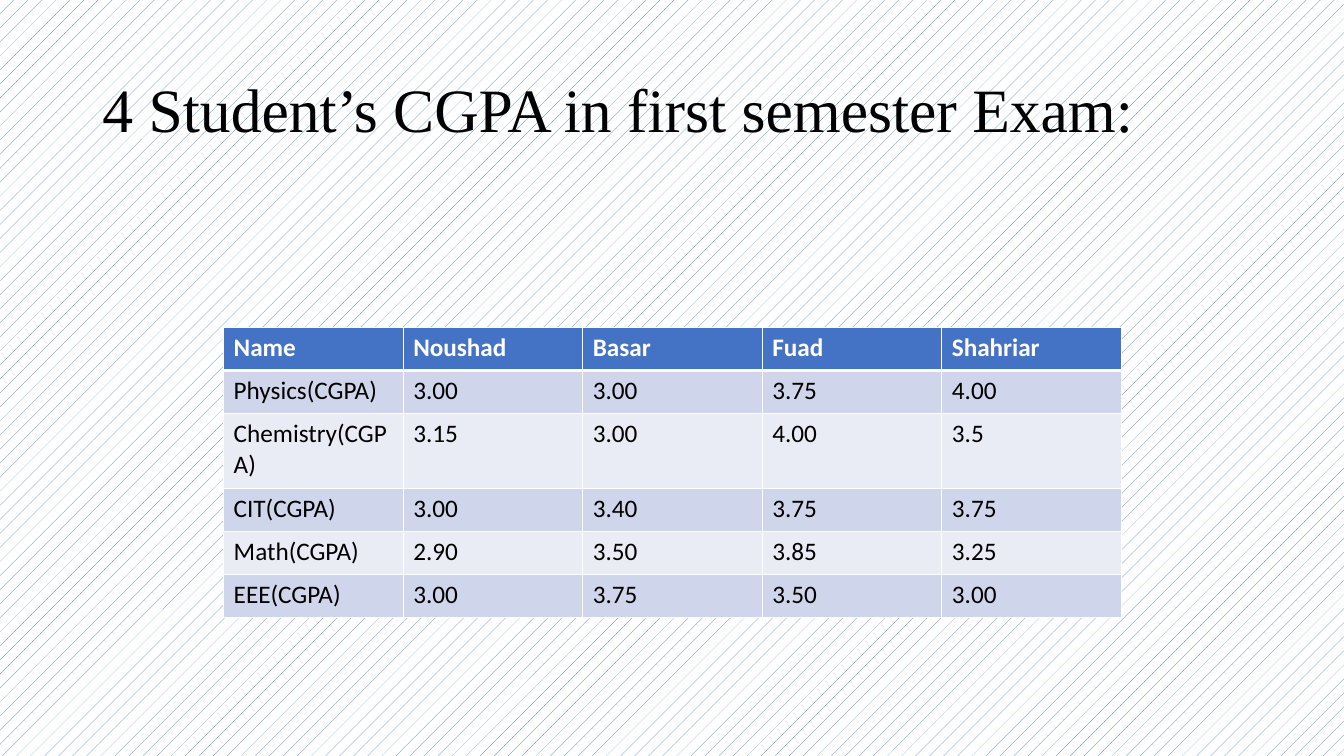
from dataclasses import dataclass

from lxml import etree
from pptx import Presentation
from pptx.dml.color import RGBColor
from pptx.enum.dml import MSO_PATTERN
from pptx.enum.text import MSO_ANCHOR, MSO_AUTO_SIZE, PP_ALIGN
from pptx.oxml.ns import qn
from pptx.util import Pt

DOTS = MSO_PATTERN.PERCENT_5
LEFT = PP_ALIGN.LEFT
TOP, MIDDLE = MSO_ANCHOR.TOP, MSO_ANCHOR.MIDDLE
NO_FIT = MSO_AUTO_SIZE.NONE
PX = 9525
TITLE_ONLY = 5


@dataclass(frozen=True)
class Theme:
    blue: str = "4472C4"
    white: str = "FFFFFF"
    black: str = "000000"
    bands: tuple = ("CFD5EA", "E9EBF5")
    serif: str = "Times New Roman"
    sans: str = "Calibri"
    head: int = 44
    body: int = 18
    thin: int = 1
    thick: int = 3


GRADES = [
    ("Name", "Noushad", "Basar", "Fuad", "Shahriar"),
    ("Physics(CGPA)", "3.00", "3.00", "3.75", "4.00"),
    ("Chemistry(CGPA)", "3.15", "3.00", "4.00", "3.5"),
    ("CIT(CGPA)", "3.00", "3.40", "3.75", "3.75"),
    ("Math(CGPA)", "2.90", "3.50", "3.85", "3.25"),
    ("EEE(CGPA)", "3.00", "3.75", "3.50", "3.00"),
]


def apply(item, values):
    for name, value in values.items():
        setattr(item, name, value)


class Deck:
    def __init__(self, theme, width, height):
        self.theme = theme
        self.show = Presentation()
        apply(self.show, {"slide_width": width * PX, "slide_height": height * PX})
        self.slide = self.show.slides.add_slide(self.show.slide_layouts[TITLE_ONLY])

    def ground(self):
        fill = self.slide.background.fill
        fill.patterned()
        fill.pattern = DOTS
        fill.fore_color.rgb = RGBColor.from_string(self.theme.blue)
        fill.back_color.rgb = RGBColor.from_string(self.theme.white)

    def label(self, frame, text, color, **font):
        """Put one left-aligned line of text in a frame and return its paragraph."""
        para = frame.paragraphs[0]
        para.alignment = LEFT
        run = para.add_run()
        run.text = text
        apply(run.font, font)
        run.font.color.rgb = RGBColor.from_string(color)
        return para

    def title(self, text, left, top, width, height):
        look, shape = self.theme, self.slide.shapes.title
        apply(shape, {"left": left * PX, "top": top * PX,
                      "width": width * PX, "height": height * PX})
        frame = shape.text_frame
        apply(frame, {"word_wrap": True, "auto_size": NO_FIT,
                      "vertical_anchor": MIDDLE})
        para = self.label(frame, text, look.black, name=look.serif,
                          size=Pt(look.head), bold=False)
        para.line_spacing = 0.9

    def border(self, cell, widths):
        """Draw the cell's edges; widths maps L, R, T, B to points, in that order."""
        props = cell._tc.get_or_add_tcPr()
        for side, width in widths.items():
            line = etree.SubElement(props, qn(f"a:ln{side}"), w=str(Pt(width)))
            fill = etree.SubElement(line, qn("a:solidFill"))
            etree.SubElement(fill, qn("a:srgbClr"), val=self.theme.white)

    def table(self, data, left, top, column, heights):
        look = self.theme
        count = len(data[0])
        table = self.slide.shapes.add_table(
            len(data), count, left * PX, top * PX,
            column * count * PX, sum(heights) * PX).table
        for col in table.columns:
            col.width = column * PX
        for row, (values, height) in enumerate(zip(data, heights)):
            table.rows[row].height = height * PX
            first = row == 0
            paint = look.blue if first else look.bands[(row - 1) % 2]
            edges = {"L": look.thin, "R": look.thin,
                     "T": look.thick if row == 1 else look.thin,
                     "B": look.thick if first else look.thin}
            for col, text in enumerate(values):
                cell = table.cell(row, col)
                self.border(cell, edges)
                cell.fill.solid()
                cell.fill.fore_color.rgb = RGBColor.from_string(paint)
                cell.vertical_anchor = TOP
                self.label(cell.text_frame, text,
                           look.white if first else look.black,
                           name=look.sans, size=Pt(look.body), bold=first)


def main():
    deck = Deck(Theme(), 1280, 720)
    deck.ground()
    deck.title("4 Student’s CGPA in first semester Exam:", 88, 38, 1104, 139)
    deck.table(GRADES, 213, 312, 171, [41, 41, 71, 41, 41, 41])
    deck.show.save("out.pptx")


if __name__ == "__main__":
    main()
